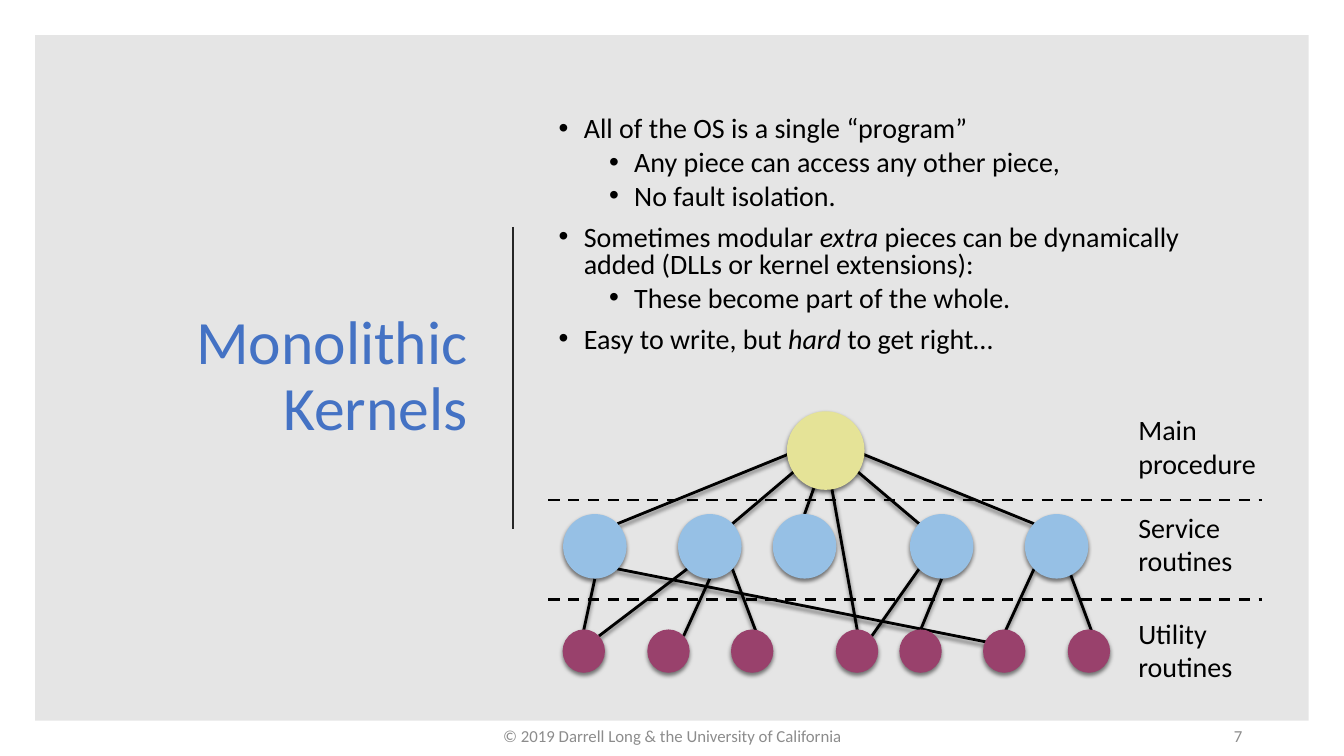
from lxml.etree import SubElement
from pptx import Presentation
from pptx.dml.color import RGBColor
from pptx.enum.dml import MSO_LINE
from pptx.enum.shapes import MSO_CONNECTOR, MSO_SHAPE
from pptx.enum.text import MSO_ANCHOR, MSO_AUTO_SIZE, PP_ALIGN
from pptx.oxml.ns import qn
from pptx.util import Inches, Pt

BLACK = RGBColor(0x00, 0x00, 0x00)
DARK = RGBColor(0x26, 0x26, 0x26)
GRAY = RGBColor(0x8C, 0x8C, 0x8C)
BLUE = RGBColor(0x44, 0x72, 0xC4)
YELLOW = RGBColor(0xFF, 0xFD, 0xA9)
SKY = RGBColor(0xA8, 0xD6, 0xFF)
PLUM = RGBColor(0xAB, 0x49, 0x79)

TITLE = "Monolithic Kernels"
POINTS = [
    (0, "All of the OS is a single “program”"),
    (1, "Any piece can access any other piece,"),
    (1, "No fault isolation."),
    (0, "Sometimes modular *extra* pieces can be dynamically added (DLLs or kernel extensions):"),
    (1, "These become part of the whole."),
    (0, "Easy to write, but *hard* to get right…"),
]
LABELS = [
    ("Main\nprocedure", 4.03, 1.29),
    ("Service\nroutines", 5, 1.06),
    ("Utility\nroutines", 6.05, 1.06),
]
FOOTERS = [
    ("© 2019 Darrell Long & the University of California", 4.42, 4.5, PP_ALIGN.CENTER),
    ("7", 9.42, 3, PP_ALIGN.RIGHT),
]

MAIN = (8.19, 4.47)
HUB = (8.19, 4.4)
SERVICE = [(x, 5.42) for x in (5.9, 7.04, 7.98, 9.34, 10.48)]
UTILITY = [(x, 6.46) for x in (5.79, 6.63, 7.46, 8.5, 9.13, 9.96, 10.8)]
LAYERS = [
    ([MAIN], 0.77, 0.78, YELLOW),
    (SERVICE, 0.63, 0.64, SKY),
    (UTILITY, 0.42, 0.43, PLUM),
]
DASHES = (4.96, 5.95)

PORTS = {
    "N": (0, -1), "S": (0, 1), "E": (1, 0), "W": (-1, 0),
    "NE": (0.7, -0.7), "NW": (-0.7, -0.7),
    "SE": (0.7, 0.7), "SW": (-0.7, 0.7),
    "in": (0.27, 0.44),
}
CALLS = [("W", 0, "NE"), ("SW", 1, "NE"), ("S", 2, "N"), ("SE", 3, "NW"), ("E", 4, "NW")]
USES = [
    (0, "S", 0, 0, -0.21), (0, "SE", 5, -0.07, -0.07),
    (1, "SW", 0, 0.15, -0.15), (1, "S", 1, 0.15, -0.15), (1, "SE", 2, 0.07, -0.11),
    (3, "SW", 3, 0.09, -0.07), (3, "S", 4, 0, -0.21),
    (4, "SW", 5, -0.03, -0.11), (4, "in", 6, 0.06, -0.11),
]

deck = Presentation()
deck.slide_width, deck.slide_height = Inches(13.33), Inches(7.5)
slide = deck.slides.add_slide(deck.slide_layouts[1])
shapes = slide.shapes


def place(shape, *box):
    shape.left, shape.top, shape.width, shape.height = map(Inches, box)


def write(frame, items, size=20, color=BLACK, align=PP_ALIGN.LEFT, space=1.0,
          anchor=MSO_ANCHOR.MIDDLE, wrap=True, bullet=None, inset=None):
    frame.auto_size = MSO_AUTO_SIZE.NONE
    frame.word_wrap = wrap
    frame.vertical_anchor = anchor
    if inset is not None:
        frame.margin_left = frame.margin_right = Inches(inset)
        frame.margin_top = frame.margin_bottom = Inches(inset)
    for i, (level, text) in enumerate(items):
        para = frame.add_paragraph() if i else frame.paragraphs[0]
        if bullet:
            props = para._p.get_or_add_pPr()
            props.set("marL", str(Inches(0.25 + 0.5 * level)))
            props.set("indent", str(Inches(-0.25)))
            SubElement(props, qn("a:buFont")).set("typeface", "Arial")
            SubElement(props, qn("a:buChar")).set("char", bullet)
        para.level = level
        para.alignment = align
        para.line_spacing = space
        para.space_before = Pt((5 if level else 10) if i else 0)
        for j, part in enumerate(text.split("*")):
            for k, line in enumerate(part.split("\n")):
                if k:
                    para.add_line_break()
                run = para.add_run()
                run.text = line
                font = run.font
                font.name, font.size, font.italic = "Calibri", Pt(size), j % 2 == 1
                font.color.rgb = color


def effect(shape, shadow):
    group = SubElement(shape._element.spPr, qn("a:effectLst"))
    if shadow:
        outer = SubElement(group, qn("a:outerShdw"), blurRad=str(Pt(3)),
                           dist=str(Pt(2)), dir="5400000", rotWithShape="0")
        tint = SubElement(outer, qn("a:srgbClr"), val="000000")
        SubElement(tint, qn("a:alpha"), val="50000")


def link(start, end, color=BLACK, width=2, dash=False, shadow=True):
    line = shapes.add_connector(MSO_CONNECTOR.STRAIGHT, *map(Inches, start + end))
    line.line.color.rgb = color
    line.line.width = Pt(width)
    if dash:
        line.line.dash_style = MSO_LINE.DASH
    effect(line, shadow)


def block(kind, box, color, shadow=False):
    shape = shapes.add_shape(kind, *map(Inches, box))
    shape.fill.solid()
    shape.fill.fore_color.rgb = color
    shape.line.fill.background()
    effect(shape, shadow)
    return shape


def port(node, name, radius):
    dx, dy = PORTS[name]
    return node[0] + dx * radius, node[1] + dy * radius


for y in DASHES:
    link((5.44, y), (12.52, y), dash=True, shadow=False)
for out, child, side in CALLS:
    link(port(HUB, out, 0.11), port(SERVICE[child], side, 0.32))
link(port(HUB, "S", 0.11), (UTILITY[3][0] + 0.04, UTILITY[3][1]))
for owner, side, child, dx, dy in USES:
    x, y = UTILITY[child]
    link(port(SERVICE[owner], side, 0.32), (x + dx, y + dy))
for nodes, w, h, color in LAYERS:
    for x, y in nodes:
        block(MSO_SHAPE.OVAL, (x - w / 2, y - h / 2, w, h), color, shadow=True)
for text, top, width in LABELS:
    box = shapes.add_textbox(*map(Inches, (11.23, top, width, 0.79)))
    write(box.text_frame, [(0, text)], wrap=False, inset=0.06)

panel = block(MSO_SHAPE.RECTANGLE, (0.35, 0.35, 12.63, 6.8), BLACK)
tone = panel.fill._xPr.find(qn("a:solidFill"))[0]
SubElement(tone, qn("a:alpha"), val="10000")
link((5.09, 2.25), (5.09, 5.25), color=DARK, width=1.5, shadow=False)

title, body = shapes.title, slide.placeholders[1]
place(title, 0.92, 1.05, 3.82, 5.39)
write(title.text_frame, [(0, TITLE)], size=44, color=BLUE, align=PP_ALIGN.RIGHT, space=0.9)
place(body, 5.44, 1.05, 6.84, 2.52)
write(body.text_frame, POINTS, space=0.8, anchor=MSO_ANCHOR.BOTTOM, bullet="•")
for holder in (title, body):
    shapes._spTree.append(holder._element)

for text, left, width, align in FOOTERS:
    box = shapes.add_textbox(*map(Inches, (left, 7.1, width, 0.4)))
    write(box.text_frame, [(0, text)], size=12, color=GRAY, align=align)

deck.save("out.pptx")
